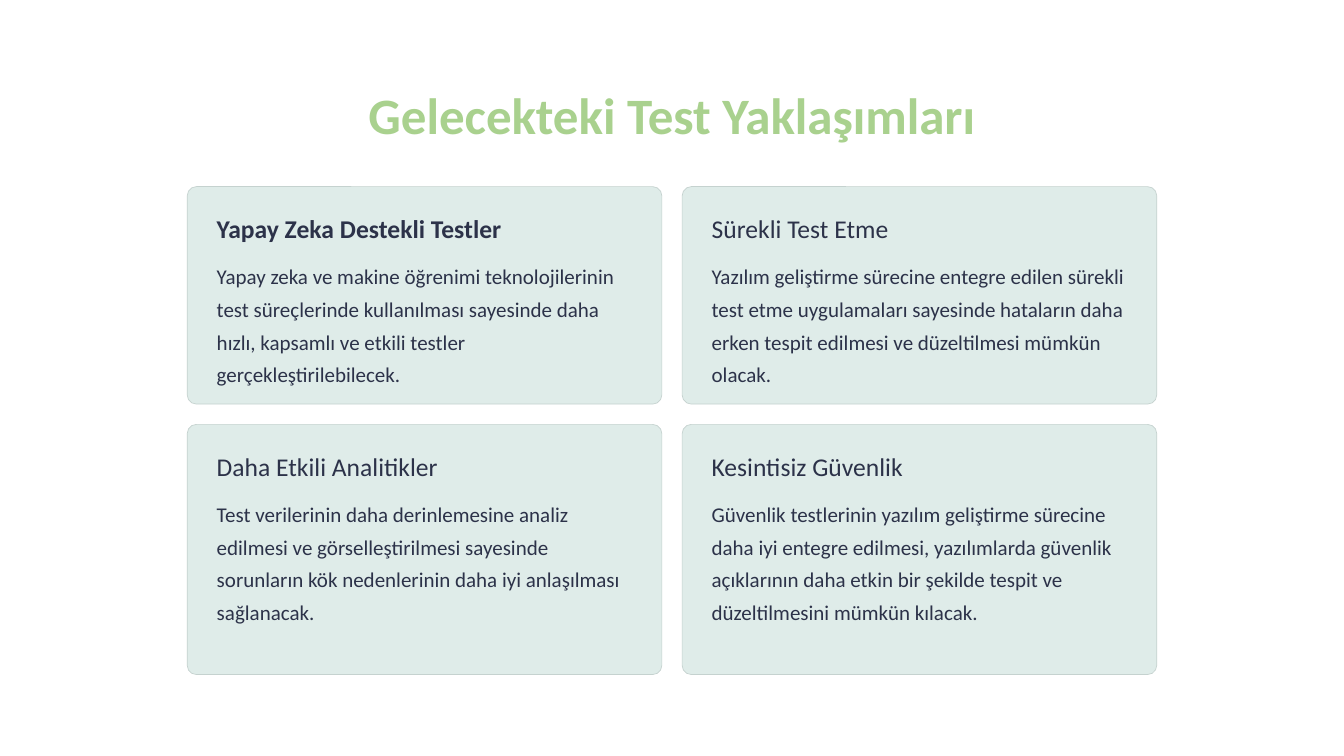
from pptx import Presentation
from pptx.dml.color import RGBColor
from pptx.enum import shapes, text
from pptx.util import Pt

TITLE = "Gelecekteki Test Yaklaşımları"
# Rows of cards: heading, heading width, bold heading, body, lines reserved for the body
CARD_ROWS = [
    [
        ("Yapay Zeka Destekli Testler", 260.6, True,
         "Yapay zeka ve makine öğrenimi teknolojilerinin test süreçlerinde kullanılması "
         "sayesinde daha hızlı, kapsamlı ve etkili testler gerçekleştirilebilecek.", 4),
        ("Sürekli Test Etme", 219, False,
         "Yazılım geliştirme sürecine entegre edilen sürekli test etme uygulamaları "
         "sayesinde hataların daha erken tespit edilmesi ve düzeltilmesi mümkün olacak.", 4),
    ],
    [
        ("Daha Etkili Analitikler", 219, False,
         "Test verilerinin daha derinlemesine analiz edilmesi ve görselleştirilmesi "
         "sayesinde sorunların kök nedenlerinin daha iyi anlaşılması sağlanacak.", 4),
        ("Kesintisiz Güvenlik", 219, False,
         "Güvenlik testlerinin yazılım geliştirme sürecine daha iyi entegre edilmesi, "
         "yazılımlarda güvenlik açıklarının daha etkin bir şekilde tespit ve "
         "düzeltilmesini mümkün kılacak.", 5),
    ],
]

FONT = "Calibri"
WHITE, GREEN, INK = "FFFFFF", "A9D18E", "2C3249"
CARD_FILL, CARD_LINE = "DFECE9", "C5D2CF"

PAGE_W, PAGE_H = 1152, 648
LEFT, TOP = 160.5, 160
CARD_W, GAP, PAD, RADIUS = 406.8, 17.4, 18.2, 7.85
TITLE_LINE, HEADING_LINE, BODY_LINE = 54.7, 27.3, 28
BODY_OFFSET = 56.2


def color(hex_value):
    return RGBColor.from_string(hex_value)


def add_panel(page, kind, left, top, width, height, fill):
    panel = page.shapes.add_shape(kind, Pt(left), Pt(top), Pt(width), Pt(height))
    panel.shadow.inherit = False
    panel.fill.solid()
    panel.fill.fore_color.rgb = color(fill)
    panel.line.fill.background()
    return panel


def add_text(page, words, left, top, width, height, size, line, ink=INK, bold=False,
             align=text.PP_ALIGN.LEFT):
    box = page.shapes.add_textbox(Pt(left), Pt(top), Pt(width), Pt(height))
    box.text_frame.word_wrap = True
    box.text_frame.text = words
    para = box.text_frame.paragraphs[0]
    para.alignment = align
    para.line_spacing = Pt(line)
    font = para.runs[0].font
    font.name, font.size, font.bold = FONT, Pt(size), bold
    font.color.rgb = color(ink)


def add_card(page, card, left, top, height):
    heading, heading_width, bold, body, lines = card
    panel = add_panel(page, shapes.MSO_SHAPE.ROUNDED_RECTANGLE,
                      left, top, CARD_W, height, CARD_FILL)
    panel.adjustments[0] = RADIUS / height
    panel.line.color.rgb = color(CARD_LINE)
    panel.line.width = Pt(0.6)
    add_text(page, heading, left + PAD, top + PAD, heading_width, HEADING_LINE,
             21.9, HEADING_LINE, bold=bold)
    add_text(page, body, left + PAD, top + BODY_OFFSET, CARD_W - 2 * PAD,
             lines * BODY_LINE, 18, BODY_LINE)


def main():
    deck = Presentation()
    deck.slide_width, deck.slide_height = Pt(PAGE_W), Pt(PAGE_H)
    page = deck.slides.add_slide(deck.slide_layouts[6])
    add_panel(page, shapes.MSO_SHAPE.RECTANGLE, 0, 0, PAGE_W, PAGE_H, WHITE)
    add_text(page, TITLE, LEFT, 65.6, 2 * CARD_W + GAP, TITLE_LINE, 43.7, TITLE_LINE,
             ink=GREEN, bold=True, align=text.PP_ALIGN.CENTER)

    top = TOP
    for row in CARD_ROWS:
        most_lines = max(card[-1] for card in row)
        height = BODY_OFFSET + most_lines * BODY_LINE + PAD
        for column, card in enumerate(row):
            add_card(page, card, LEFT + column * (CARD_W + GAP), top, height)
        top += height + GAP
    deck.save("out.pptx")


if __name__ == "__main__":
    main()
